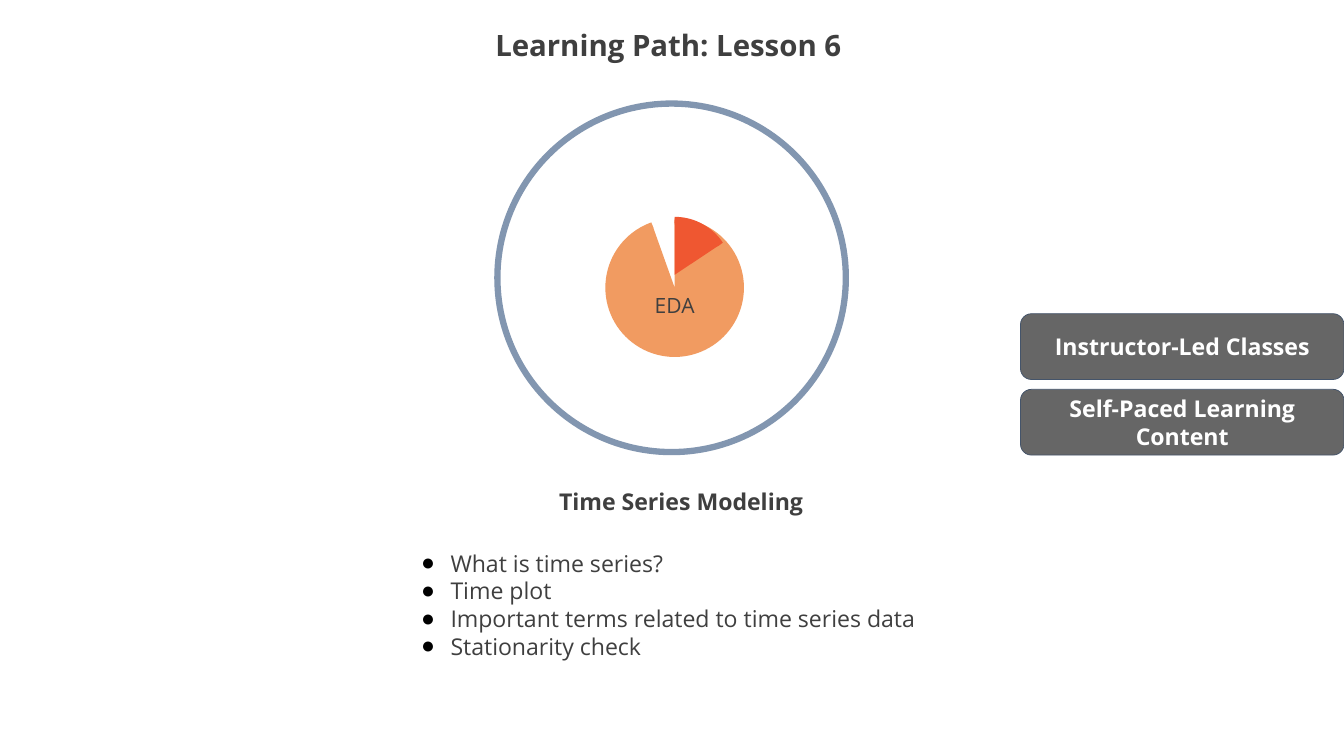
from lxml import etree
from pptx import Presentation
from pptx.dml.color import RGBColor
from pptx.enum.shapes import MSO_SHAPE
from pptx.enum.text import MSO_ANCHOR, MSO_AUTO_SIZE, PP_ALIGN
from pptx.oxml.ns import qn
from pptx.util import Inches, Pt

ARC = MSO_SHAPE.ARC
OVAL = MSO_SHAPE.OVAL
ROUNDED = MSO_SHAPE.ROUNDED_RECTANGLE
LEFT, CENTER = PP_ALIGN.LEFT, PP_ALIGN.CENTER
MIDDLE = MSO_ANCHOR.MIDDLE
NO_FIT = MSO_AUTO_SIZE.NONE

FONT = "Open Sans"
COLORS = {
    "text": "3F3F3F",
    "white": "FFFFFF",
    "bullet": "000000",
    "ring": "8296B0",
    "button": "666666",
    "button_line": "44546A",
    "pie": "F19B61",
    "slice": "EF5731",
}
TOPICS = [
    "What is time series?",
    "Time plot",
    "Important terms related to time series data",
    "Stationarity check",
]
BUTTONS = ["Instructor-Led Classes", "Self-Paced Learning Content"]


def rgb(name):
    return RGBColor.from_string(COLORS[name])


def place(sp, left, top, width, height):
    sp.left, sp.top = Inches(left), Inches(top)
    sp.width, sp.height = Inches(width), Inches(height)


def write(sp, text, size, color="text", bold=False, align=CENTER, top_inset=0.05):
    tf = sp.text_frame
    tf.text = text
    tf.word_wrap = True
    tf.auto_size = NO_FIT
    tf.vertical_anchor = MIDDLE
    tf.margin_left = tf.margin_right = Inches(0.1)
    tf.margin_top, tf.margin_bottom = Inches(top_inset), Inches(0.05)
    for p in tf.paragraphs:
        p.alignment = align
        p.space_before = Pt(0)
        for r in p.runs:
            r.font.name = FONT
            r.font.size = Pt(size)
            r.font.bold = bold
            r.font.color.rgb = rgb(color)
    return tf


def add_figure(slide, kind, box, fill, line, line_width, adjustments=()):
    sp = slide.shapes.add_shape(kind, *map(Inches, box))
    sp.shadow.inherit = False
    sp.fill.solid()
    sp.fill.fore_color.rgb = rgb(fill)
    sp.line.color.rgb = rgb(line)
    sp.line.width = Pt(line_width)
    for i, value in enumerate(adjustments):
        sp.adjustments[i] = value
    return sp


def add_bullet(p):
    pPr = p._p.get_or_add_pPr()
    pPr.set("marL", str(Inches(0.5)))
    pPr.set("indent", str(Inches(-0.39)))
    color = etree.SubElement(pPr, qn("a:buClr"))
    etree.SubElement(color, qn("a:srgbClr")).set("val", COLORS["bullet"])
    etree.SubElement(pPr, qn("a:buChar")).set("char", "●")


def add_title(slide):
    sp = slide.shapes.title
    place(sp, 0, 0.25, 17.68, 0.75)
    tf = write(sp, "Learning Path: Lesson 6", 28, bold=True)
    tf.paragraphs[0].line_spacing = 0.9


def add_topics(slide):
    sp = slide.placeholders[1]
    place(sp, 5.36, 7.12, 7.14, 1.75)
    tf = write(sp, "\n".join(TOPICS), 22, align=LEFT)
    for p in tf.paragraphs:
        add_bullet(p)


def add_heading(slide):
    sp = slide.shapes.add_textbox(*map(Inches, (6.17, 6.35, 5.68, 0.57)))
    write(sp, "Time Series Modeling", 22, bold=True)


def add_buttons(slide):
    for i, label in enumerate(BUTTONS):
        box = (13.5, 4.15 + i, 4.28, 0.87)
        sp = add_figure(slide, ROUNDED, box, "button", "button_line", 0.75, [0.167])
        write(sp, label, 22, "white", bold=True)


def add_progress_chart(slide):
    add_figure(slide, OVAL, (6.58, 1.37, 4.61, 4.61), "white", "ring", 6)
    pie = add_figure(slide, ARC, (8.05, 2.93, 1.75, 1.75), "pie", "pie", 6, [162, 150.23])
    write(pie, "EDA", 20, top_inset=0.52)
    add_figure(slide, ARC, (8.2, 2.91, 1.45, 1.45), "slice", "slice", 6, [162, 195.86])


def main():
    prs = Presentation()
    prs.slide_width, prs.slide_height = Inches(17.78), Inches(10)
    slide = prs.slides.add_slide(prs.slide_layouts[1])
    add_title(slide)
    add_progress_chart(slide)
    add_buttons(slide)
    add_heading(slide)
    add_topics(slide)
    prs.save("out.pptx")


if __name__ == "__main__":
    main()
